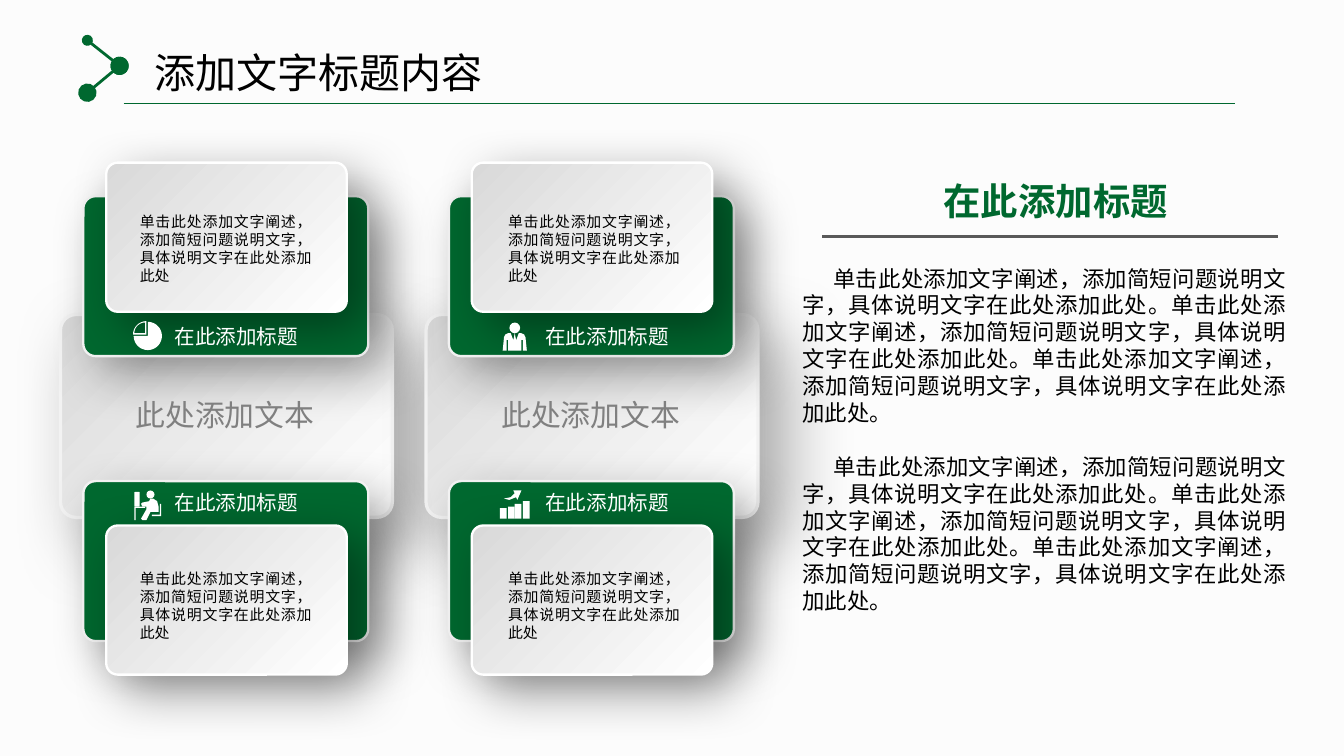
import math
from lxml import etree
from pptx import Presentation
from pptx import util as u
from pptx.dml.color import RGBColor
from pptx.enum import shapes, text
from pptx.oxml import ns

COLORS = {"bg": "FCFCFC", "green": "00682F", "rule": "595959", "edge": "F2F2F2",
          "dark": "D9D9D9", "white": "FFFFFF", "black": "000000", "grey": "808080"}
RGB = {k: RGBColor.from_string(v) for k, v in COLORS.items()}
FONT = "Noto Sans CJK SC"
NOTE = "单击此处添加文字阐述，添加简短问题说明文字，具体说明文字在此处添加此处"
LABEL = "在此添加标题"


def write(sp, paras, size, color, inset=(0.07, 0.04), align=None, bold=False, indent=0):
    tf = sp.text_frame
    fmt = {"word_wrap": True, "auto_size": text.MSO_AUTO_SIZE.NONE,
           "vertical_anchor": text.MSO_ANCHOR.TOP,
           "margin_left": u.Inches(inset[0]), "margin_right": u.Inches(inset[0]),
           "margin_top": u.Inches(inset[1]), "margin_bottom": u.Inches(inset[1])}
    for k, v in fmt.items():
        setattr(tf, k, v)
    for i, words in enumerate(paras):
        p = tf.add_paragraph() if i else tf.paragraphs[0]
        p.alignment = align
        p.line_spacing = u.Pt(size * 1.2)
        p.space_before = u.Pt(size * 1.2 if i else 0)
        if indent:
            p._p.get_or_add_pPr().set("indent", str(u.Inches(indent)))
        r = p.add_run()
        r.text = words
        for k, v in {"size": u.Pt(size), "bold": bold, "name": FONT}.items():
            setattr(r.font, k, v)
        r.font.color.rgb = RGB[color]
        etree.SubElement(r._r.get_or_add_rPr(), ns.qn("a:ea"), typeface=FONT)


prs = Presentation()
prs.slide_width = u.Inches(10)
prs.slide_height = prs.slide_width * 9 // 16
s = prs.slides.add_slide(prs.slide_layouts[5])
s.background.fill.solid()
s.background.fill.fore_color.rgb = RGB["bg"]
CENTER, JUSTIFY = text.PP_ALIGN.CENTER, text.PP_ALIGN.JUSTIFY

title = s.shapes.title
for k, v in {"left": 0.86, "top": 0.31, "width": 3.02, "height": 0.45}.items():
    setattr(title, k, u.Inches(v))
write(title, ["添加文字标题内容"], 22, "black", (0.08, 0.04), CENTER)

for x1, y1, x2, y2, color, width, ends in [
        (0.65, 0.3, 0.89, 0.49, "green", 1.5, ("med", "lg")),
        (0.89, 0.49, 0.65, 0.69, "green", 1.5, ("lg", "lg")),
        (0.92, 0.77, 9.19, 0.77, "green", 1, ()),
        (6.12, 1.76, 9.51, 1.76, "rule", 1.5, ())]:
    c = s.shapes.add_connector(shapes.MSO_CONNECTOR.STRAIGHT, *map(u.Inches, (x1, y1, x2, y2)))
    c.line.color.rgb = RGB[color]
    c.line.width = u.Pt(width)
    for tag, size in zip(("a:headEnd", "a:tailEnd"), ends):
        etree.SubElement(c.line._get_or_add_ln(), ns.qn(tag), type="oval", w=size, len=size)
    etree.SubElement(c._element.spPr, ns.qn("a:effectLst"))

COLUMNS = (0, 2.72)
boxes = [(0.45 + dx, 2.34, 2.47, 1.51, "edge", 1.75, (35, 40, 19)) for dx in COLUMNS]
for dx in COLUMNS:
    for tab_y, card_y in ((1.46, 1.21), (3.58, 3.91)):
        boxes.append((0.62 + dx, tab_y, 2.12, 1.19, "green", 1.25, (35, 27, 13)))
        boxes.append((0.79 + dx, card_y, 1.79, 1.11, "white", 1.25, (40, 28, 12)))
for x, y, w, h, kind, width, (alpha, blur, dist) in boxes:
    sp = s.shapes.add_shape(shapes.MSO_SHAPE.ROUNDED_RECTANGLE, *map(u.Inches, (x, y, w, h)))
    sp.adjustments[0] = 0.077
    if kind == "green":
        sp.fill.solid()
        sp.fill.fore_color.rgb = RGB["green"]
    else:
        sp.fill.gradient()
        sp.fill.gradient_angle = 315
        for stop, color, pos in zip(sp.fill.gradient_stops, ("dark", "white"), (0, 1)):
            stop.color.rgb = RGB[color]
            stop.position = pos
    sp.line.color.rgb = RGB["white" if kind == "white" else "edge"]
    sp.line.width = u.Pt(width)
    sp.shadow.inherit = False
    shadow = etree.SubElement(sp._element.spPr.find(ns.qn("a:effectLst")), ns.qn("a:outerShdw"),
                              blurRad=str(u.Pt(blur)), dist=str(u.Pt(dist)),
                              dir="2700000", algn="tl", rotWithShape="0")
    clr = etree.SubElement(shadow, ns.qn("a:srgbClr"), val=COLORS["black"])
    etree.SubElement(clr, ns.qn("a:alpha"), val=str(alpha * 1000))

texts = [(6.03, 1.28, 3.65, 0.44, [LABEL], 20, "green", (0.1, 0.05), CENTER, True),
         (5.9, 1.93, 3.74, 2.9, [(NOTE + "。") * 3] * 2, 12, "black", (0.07, 0.04), JUSTIFY, False, 0.23)]
for i, dx in enumerate(COLUMNS):
    for note_y, label_y in ((1.54, 2.36), (4.2, 3.6)):
        texts.append((0.97 + i * 2.74, note_y, 1.42, 0.61, [NOTE], 8, "black", (0.07, 0.04), JUSTIFY))
        texts.append((1.2 + i * 2.76, label_y, 1.28, 0.29, [LABEL], 11, "white", (0.1, 0.05)))
    texts.append((0.61 + dx, 2.91, 2.13, 0.35, ["此处添加文本"], 16, "grey", (0.07, 0.04), CENTER))
for x, y, w, h, *rest in texts:
    write(s.shapes.add_textbox(*map(u.Inches, (x, y, w, h))), *rest)

disc, wedge, hole = ([(cx + rad * math.cos(math.radians(a)), cy + rad * math.sin(math.radians(a)))
                      for a in range(start, end + 1, 6)] + [(cx, cy)]
                     for cx, cy, rad, start, end in [(1.1, 2.5, 0.105, -90, 180),
                                                     (1.09, 2.49, 0.1, 180, 270),
                                                     (1.08, 2.48, 0.08, 180, 270)])
suit = [(3.74, 2.61), (3.75, 2.51), (3.76, 2.49), (3.78, 2.48), (3.8, 2.48), (3.83, 2.56),
        (3.82, 2.53), (3.83, 2.48), (3.84, 2.53), (3.83, 2.56), (3.86, 2.48), (3.88, 2.48),
        (3.9, 2.49), (3.91, 2.51), (3.92, 2.61), (3.89, 2.61), (3.89, 2.53), (3.88, 2.53),
        (3.88, 2.61), (3.78, 2.61), (3.78, 2.53), (3.77, 2.53), (3.77, 2.61)]
sitter = [(1.06, 3.87), (1.05, 3.86), (1.09, 3.79), (1.09, 3.77), (1.06, 3.77), (1.05, 3.75),
          (1.06, 3.74), (1.11, 3.73), (1.12, 3.71), (1.14, 3.71), (1.17, 3.73), (1.18, 3.77),
          (1.18, 3.81), (1.12, 3.81), (1.09, 3.87)]
desk = [(1, 3.77), (1.08, 3.77), (1.08, 3.78), (1.01, 3.78), (1.01, 3.87), (1, 3.87)]
chair = [(1.13, 3.83), (1.19, 3.83), (1.19, 3.75), (1.2, 3.75), (1.2, 3.84), (1.13, 3.84)]
arrow = [(3.83, 3.67), (3.8, 3.7), (3.75, 3.71), (3.79, 3.72), (3.84, 3.7), (3.85, 3.72),
         (3.88, 3.65), (3.82, 3.65)]
icons = []
for contours in ([disc], [wedge, hole], [suit], [sitter], [desk], [chair], [arrow]):
    first, *others = [[tuple(map(u.Inches, pt)) for pt in pts] for pts in contours]
    fb = s.shapes.build_freeform(*first[0])
    fb.add_line_segments(first[1:])
    for pts in others:
        fb.move_to(*pts[0])
        fb.add_line_segments(pts[1:])
    icons.append(fb.convert_to_shape())

SHAPE = shapes.MSO_SHAPE
parts = [(SHAPE.OVAL, 3.79, 2.4, 0.08, 0.08), (SHAPE.OVAL, 1.09, 3.65, 0.06, 0.06),
         (SHAPE.ROUNDED_RECTANGLE, 1, 3.66, 0.04, 0.11)]
for x, h in zip((3.72, 3.78, 3.83, 3.89), (0.08, 0.09, 0.11, 0.13)):
    parts.append((SHAPE.RECTANGLE, x, 3.86 - h, 0.05, h))
for kind, *box in parts:
    icons.append(s.shapes.add_shape(kind, *map(u.Inches, box)))
for sp in icons:
    sp.fill.solid()
    sp.fill.fore_color.rgb = RGB["white"]
    sp.line.fill.background()
    sp.shadow.inherit = False

prs.save("out.pptx")
